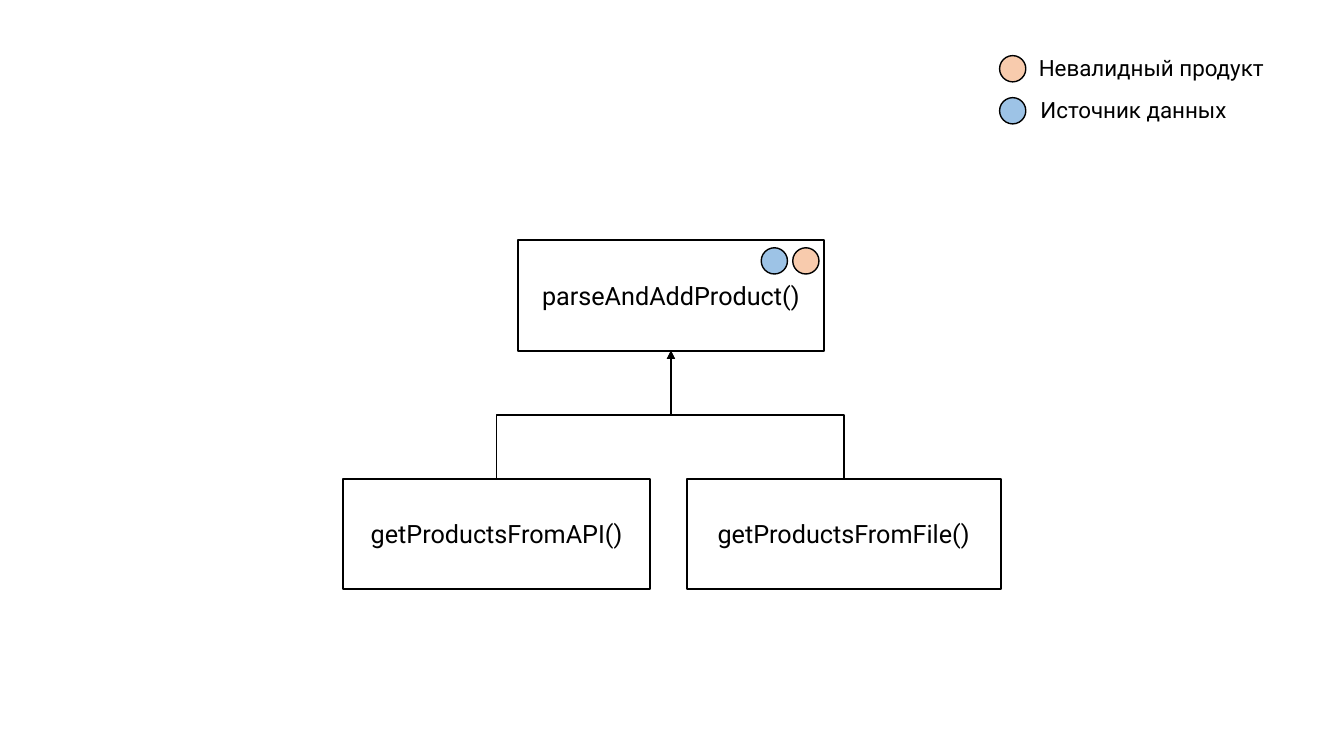
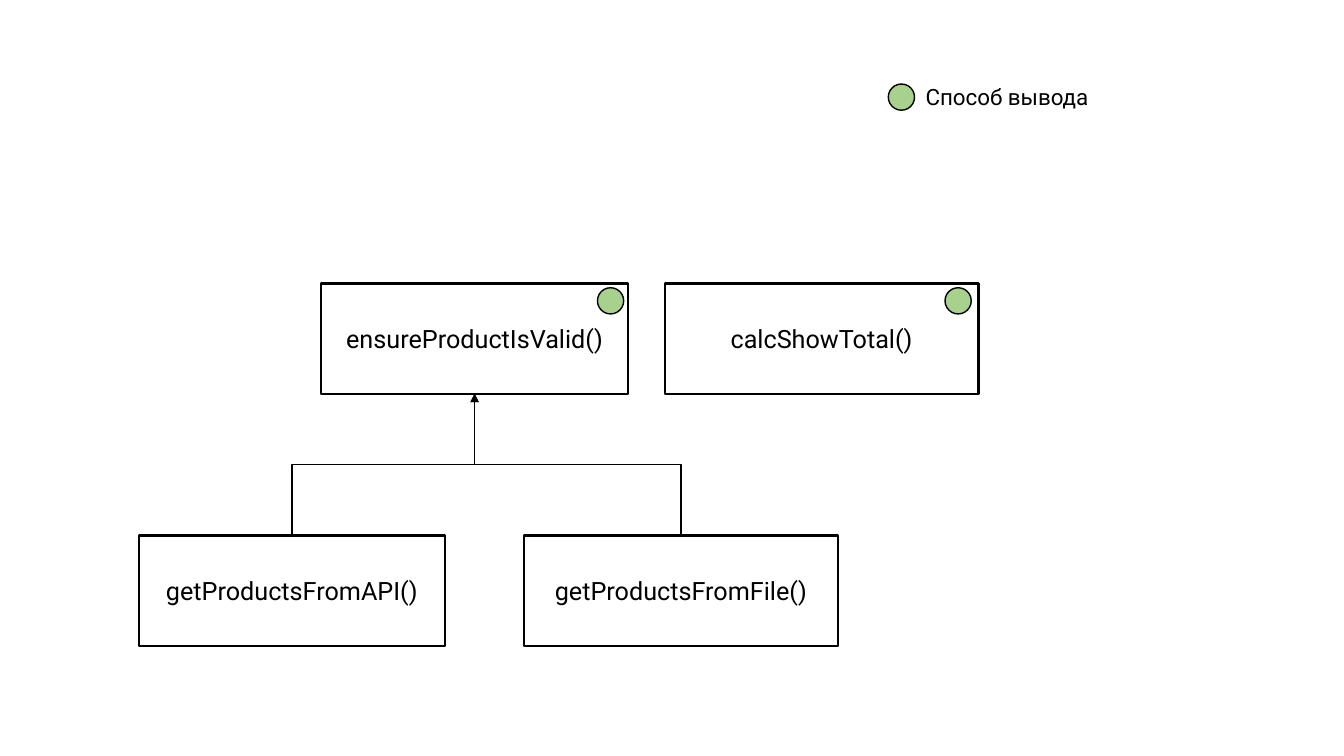
from pptx import Presentation
from pptx.dml.color import RGBColor
from pptx.enum.shapes import MSO_CONNECTOR as CONN, MSO_SHAPE as SHAPE
from pptx.enum.text import MSO_ANCHOR as ANCHOR, MSO_AUTO_SIZE as AUTO, PP_ALIGN as ALIGN
from pptx.oxml.ns import qn
from pptx.oxml.xmlchemy import OxmlElement
from pptx.util import Emu, Pt

FONT = "Roboto"
BLACK, WHITE = "000000", "FFFFFF"
INVALID, SOURCE, OUTPUT = "F8CBAD", "9DC3E6", "A9D18E"
BOX_H, NARROW, WIDE = 105, 292, 299
DOT = 25


def px(n):
    """Turn px into EMU at 96 px to the inch."""
    return Emu(int(n * 9525))


def color(value):
    """Turn a hex string into a colour."""
    return RGBColor.from_string(value)


def write(tf, text, size, align):
    """Set one line of text in the deck's font."""
    tf.text = text
    p = tf.paragraphs[0]
    p.alignment = align
    r = p.runs[0]
    r.font.name = FONT
    r.font.size = Pt(size)
    r.font.color.rgb = color(BLACK)


def shape(s, kind, x, y, w, h, fill, weight):
    """Add a filled shape with a black outline."""
    sp = s.shapes.add_shape(kind, px(x), px(y), px(w), px(h))
    sp.shadow.inherit = False
    sp.fill.solid()
    sp.fill.fore_color.rgb = color(fill)
    sp.line.color.rgb = color(BLACK)
    sp.line.width = Pt(weight)
    return sp


def function_box(s, x, y, w, name):
    """Add a box that names a function."""
    sp = shape(s, SHAPE.RECTANGLE, x, y, w, BOX_H, WHITE, 1.5)
    sp.text_frame.vertical_anchor = ANCHOR.MIDDLE
    write(sp.text_frame, name, 18, ALIGN.CENTER)
    return sp


def dot(s, x, y, fill):
    """Add a coloured marker."""
    shape(s, SHAPE.OVAL, x, y, DOT, DOT, fill, 1)


def legend(s, x, y, fill, text, text_x, w, align=ALIGN.CENTER):
    """Add a marker with its meaning beside it."""
    dot(s, x, y, fill)
    tf = s.shapes.add_textbox(px(text_x), px(y - 6), px(w), px(36)).text_frame
    tf.word_wrap = False
    tf.auto_size = AUTO.SHAPE_TO_FIT_TEXT
    write(tf, text, 16, align)


def call_arrow(s, caller, callee):
    """Join the top of the caller to the bottom of the callee by an elbow."""
    x1, y1 = caller.left + caller.width // 2, caller.top
    x2, y2 = callee.left + callee.width // 2, callee.top + callee.height
    c = s.shapes.add_connector(CONN.ELBOW, x1, y1, x2, y2)
    c.begin_connect(caller, 0)
    c.end_connect(callee, 2)
    c.width, c.height = Emu(y1 - y2), Emu(abs(x2 - x1))
    c.left = Emu((x1 + x2 - c.width) // 2)
    c.top = Emu((y1 + y2 - c.height) // 2)
    from_left = x1 < x2
    spPr = c._element.spPr
    xfrm = spPr.find(qn("a:xfrm"))
    xfrm.set("rot", str((90 if from_left else 270) * 60000))
    xfrm.set("flipH", "1" if from_left else "0")
    xfrm.set("flipV", "1")
    c.line.color.rgb = color(BLACK)
    c.line.width = Pt(1.25)
    tail = OxmlElement("a:tailEnd")
    tail.set("type", "triangle")
    spPr.find(qn("a:ln")).append(tail)
    spPr.append(OxmlElement("a:effectLst"))


def callers(s, callee, api_x, file_x, y):
    """Add the two product loaders and their arrows to the callee."""
    boxes = [
        function_box(s, api_x, y, NARROW, "getProductsFromAPI()"),
        function_box(s, file_x, y, WIDE, "getProductsFromFile()"),
    ]
    for box in boxes:
        call_arrow(s, box, callee)


def parse_slide(s):
    """Draw the parsing function and what it mixes together."""
    legend(s, 952, 53, INVALID, "Невалидный продукт", 975, 243)
    legend(s, 952, 93, SOURCE, "Источник данных", 977, 205)
    callee = function_box(s, 493, 229, NARROW, "parseAndAddProduct()")
    callers(s, callee, 327, 654, 456)
    dot(s, 725, 236, SOURCE)
    dot(s, 755, 236, INVALID)


def validation_slide(s):
    """Draw the functions that depend on the way of output."""
    legend(s, 846, 80, OUTPUT, "Способ вывода", 872, 180, ALIGN.LEFT)
    callee = function_box(s, 306, 270, NARROW, "ensureProductIsValid()")
    function_box(s, 633, 270, WIDE, "calcShowTotal()")
    callers(s, callee, 132, 499, 510)
    for x in (569, 900):
        dot(s, x, 274, OUTPUT)


def main():
    """Build and save the presentation."""
    prs = Presentation()
    prs.slide_width, prs.slide_height = px(1280), px(720)
    for draw in (parse_slide, validation_slide):
        draw(prs.slides.add_slide(prs.slide_layouts[6]))
    prs.save("out.pptx")


if __name__ == "__main__":
    main()
